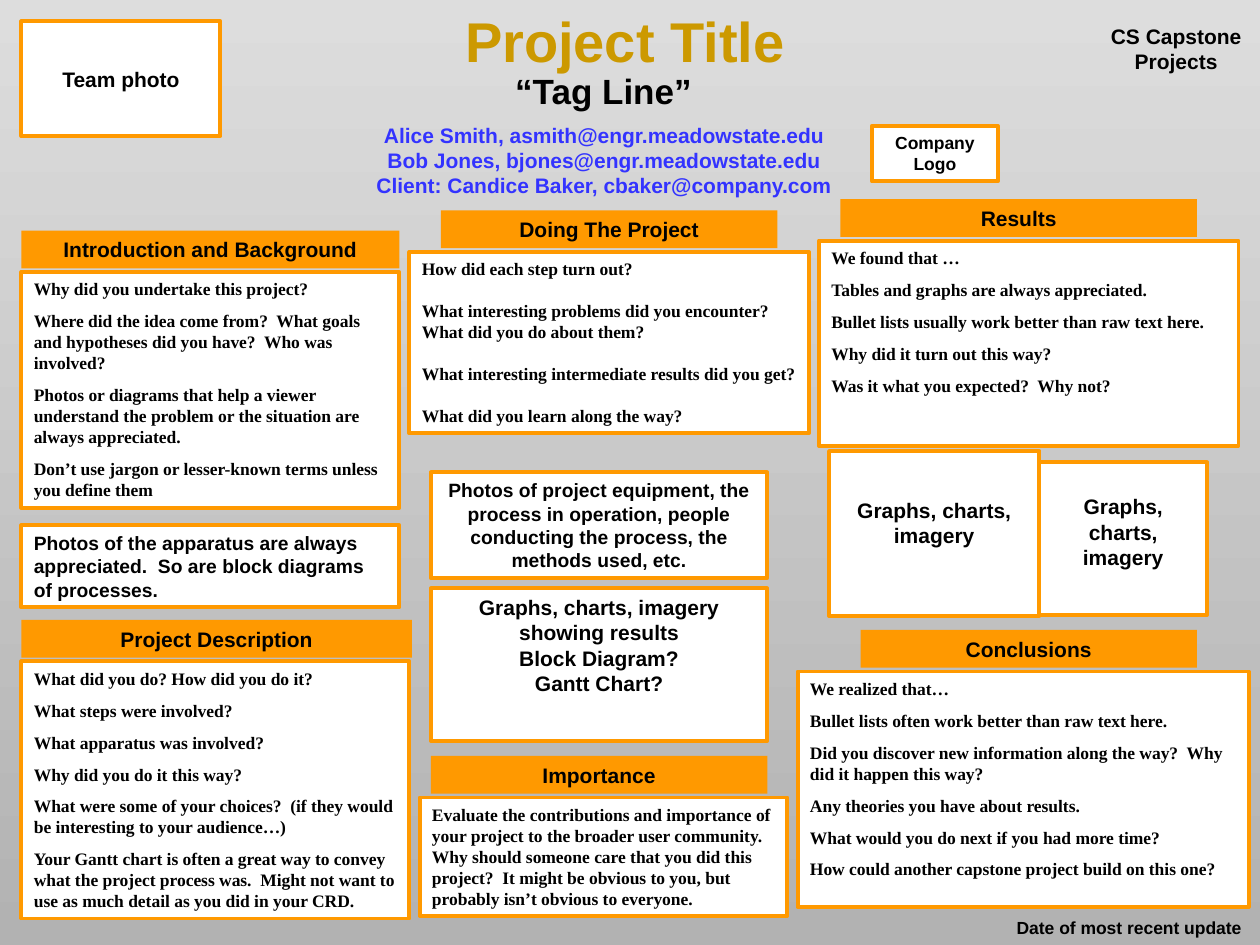
from pptx import Presentation
from pptx.dml.color import RGBColor as Rgb
from pptx.enum.shapes import MSO_SHAPE as Kind
from pptx.enum.text import MSO_ANCHOR as Anchor, PP_ALIGN as Align
from pptx.util import Inches, Pt

HUES = {
    "ink": "000000", "paper": "FFFFFF", "orange": "FF9900",
    "gold": "CC9900", "blue": "3333FF", "light": "DDDDDD", "dark": "B2B2B2",
}
SANS, SERIF = "Arial", "Times New Roman"
BAR, STEP = 0.3, 0.33


def hue(name):
    return Rgb.from_string(HUES[name])


def write(shape, paras, size, font=SANS, color="ink", align=Align.CENTER,
          gap=None, top=0.05, anchor=Anchor.TOP):
    frame = shape.text_frame
    frame.word_wrap = True
    frame.vertical_anchor = anchor
    frame.margin_left = frame.margin_right = Inches(0.1)
    frame.margin_top, frame.margin_bottom = Inches(top), Inches(0.05)
    for i, text in enumerate(paras):
        para = frame.add_paragraph() if i else frame.paragraphs[0]
        para.alignment = align
        para.space_before = Pt(size * 0.625 if gap is None else gap)
        for j, line in enumerate(text.split("\n")):
            if j:
                para.add_line_break()
            run = para.add_run()
            run.text = line
            run.font.size, run.font.name, run.font.bold = Pt(size), font, True
            run.font.color.rgb = hue(color)


def label(slide, box, text, size, **style):
    shape = slide.shapes.add_textbox(*map(Inches, box))
    write(shape, [text], size, **style)


def panel(slide, box, paras, size, fill="paper", **style):
    shape = slide.shapes.add_shape(Kind.RECTANGLE, *map(Inches, box))
    shape.shadow.inherit = False
    shape.fill.solid()
    shape.fill.fore_color.rgb = hue(fill)
    if fill == "paper":
        shape.line.color.rgb = hue("orange")
        shape.line.width = Pt(2.25)
    else:
        shape.line.fill.background()
    write(shape, paras, size, **style)


def topic(slide, box, title, paras, shift=0, span=None, gap=None):
    x, y, w, h = box
    panel(slide, (x + shift, y, span or w, BAR), [title], 12, fill="orange")
    panel(slide, (x, y + STEP, w, h - STEP), paras, 10,
          font=SERIF, align=Align.LEFT, gap=gap)


def header(slide, box):
    x, y, w, h = box
    label(slide, (x + 0.42, y, 9.08, 0.64), "Project Title", 32, color="gold")
    label(slide, (x + 0.25, y + 0.5, 9.08, 0.44), "“Tag Line”", 20)
    label(slide, (x + 2.42, y + 0.92, 4.75, 0.7),
          "Alice Smith, asmith@engr.meadowstate.edu\n"
          "Bob Jones, bjones@engr.meadowstate.edu\n"
          "Client: Candice Baker, cbaker@company.com", 12, color="blue")
    label(slide, (x + w - 1.29, y + 0.14, 1.25, 0.5), "CS Capstone Projects", 12)
    panel(slide, (x + 0.17, y + 0.17, 1.58, 0.91), ["Team photo"], 12,
          anchor=Anchor.MIDDLE)
    panel(slide, (x + 6.92, y + 1, 1, 0.44), ["Company\nLogo"], 10)


def left(slide, box):
    x, y, w, h = box
    topic(slide, (x, y, 3, 2.2), "Introduction and Background", [
        "Why did you undertake this project?",
        "Where did the idea come from?  What goals and hypotheses did you have?  "
        "Who was involved?",
        "Photos or diagrams that help a viewer understand the problem or the "
        "situation are always appreciated.",
        "Don’t use jargon or lesser-known terms unless you define them",
    ])
    panel(slide, (x, y + 2.34, 3, 0.65),
          ["Photos of the apparatus are always appreciated.  So are block "
           "diagrams of processes."], 11, align=Align.LEFT)
    topic(slide, (x, y + 3.09, w, h - 3.09), "Project Description", [
        "What did you do? How did you do it?",
        "What steps were involved?",
        "What apparatus was involved?",
        "Why did you do it this way?",
        "What were some of your choices?  (if they would be interesting to your "
        "audience…)",
        "Your Gantt chart is often a great way to convey what the project process "
        "was.  Might not want to use as much detail as you did in your CRD.",
    ], span=3.1)


def middle(slide, box):
    x, y, w, h = box
    topic(slide, (x, y, w, 1.77), "Doing The Project", [
        "How did each step turn out?",
        "What interesting problems did you encounter?  What did you do about them?",
        "What interesting intermediate results did you get?",
        "What did you learn along the way?",
    ], shift=0.25, span=2.67, gap=12)
    panel(slide, (x + 0.17, y + 2.08, 2.67, 0.84),
          ["Photos of project equipment, the process in operation, people "
           "conducting the process, the methods used, etc."], 11)
    panel(slide, (x + 0.17, y + 3, 2.67, 1.21),
          ["Graphs, charts, imagery showing results\nBlock Diagram?\nGantt Chart?"],
          12)
    topic(slide, (x + 0.08, y + 4.33, 2.92, h - 4.33), "Importance", [
        "Evaluate the contributions and importance of your project to the broader "
        "user community.  Why should someone care that you did this project?  It "
        "might be obvious to you, but probably isn’t obvious to everyone.",
    ], shift=0.09, span=2.67)


def right(slide, box):
    x, y, w, h = box
    topic(slide, (x + 0.17, y, 3.33, 1.96), "Results", [
        "We found that …",
        "Tables and graphs are always appreciated.",
        "Bullet lists usually work better than raw text here.",
        "Why did it turn out this way?",
        "Was it what you expected?  Why not?",
    ], shift=0.17, span=2.83)
    art = ["Graphs, charts, imagery"]
    panel(slide, (x + 1.92, y + 2.09, 1.33, 1.21), art, 12, top=0.25)
    panel(slide, (x + 0.25, y + 2, 1.67, 1.31), art, 12, top=0.37)
    topic(slide, (x, y + 3.42, w, 2.2), "Conclusions", [
        "We realized that…",
        "Bullet lists often work better than raw text here.",
        "Did you discover new information along the way?  Why did it happen this "
        "way?",
        "Any theories you have about results.",
        "What would you do next if you had more time?",
        "How could another capstone project build on this one?",
    ], shift=0.5, span=2.67)
    label(slide, (x + 1.59, y + h - 0.27, 2.08, 0.27),
          "Date of most recent update", 10)


def main():
    deck = Presentation()
    deck.slide_width, deck.slide_height = Inches(10), Inches(7.5)
    slide = deck.slides.add_slide(deck.slide_layouts[6])
    fill = slide.background.fill
    fill.gradient()
    fill.gradient_angle = 270
    for stop, name, at in zip(fill.gradient_stops, ("light", "dark"), (0, 1)):
        stop.color.rgb = hue(name)
        stop.position = at
    header(slide, (0, 0, 10, 1.62))
    left(slide, (0.17, 1.83, 3.08, 5.46))
    middle(slide, (3.25, 1.67, 3.17, 5.6))
    right(slide, (6.33, 1.58, 3.58, 5.92))
    deck.save("out.pptx")


if __name__ == "__main__":
    main()
